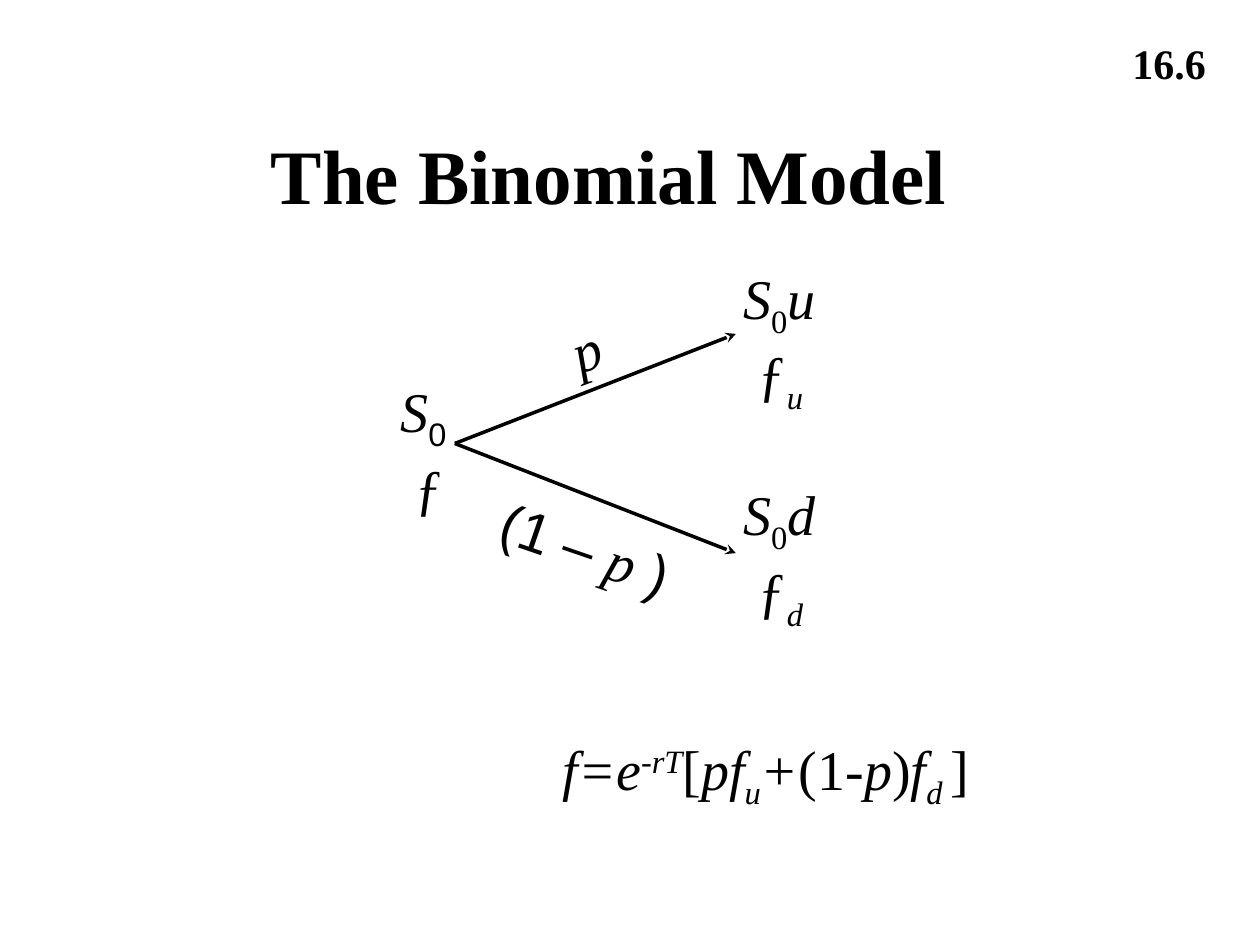
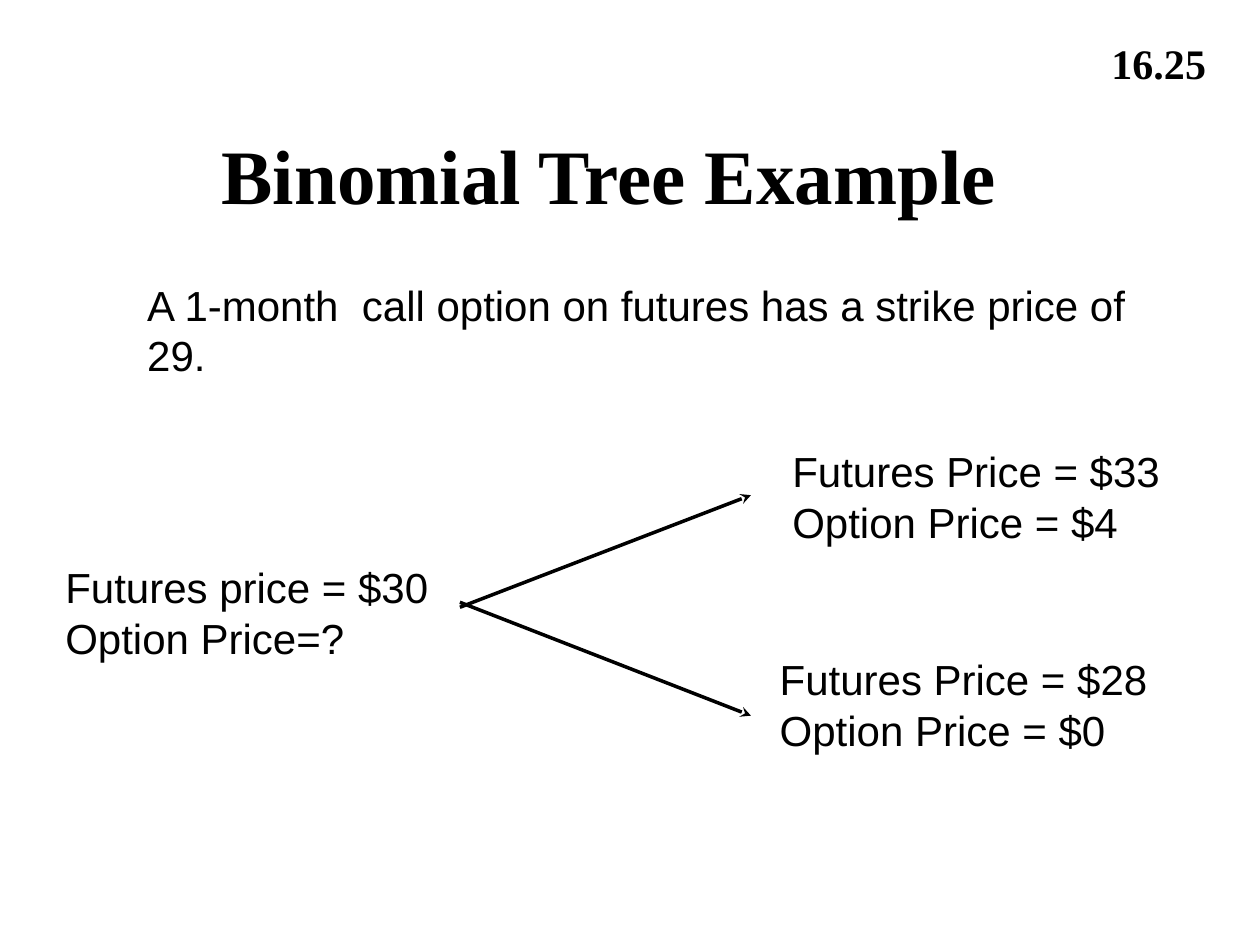
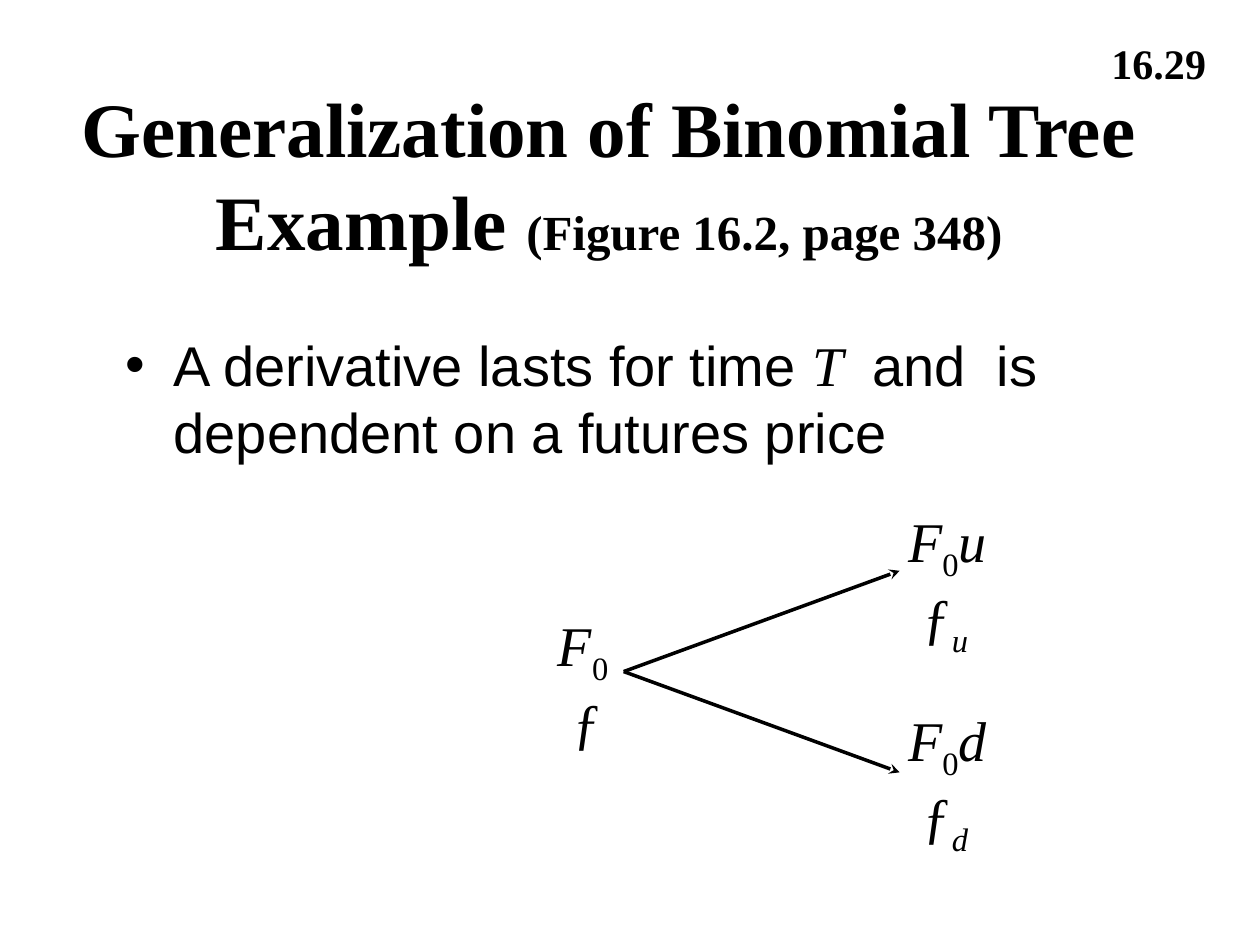
from pptx import Presentation
from pptx.dml.color import RGBColor
from pptx.enum.shapes import MSO_CONNECTOR
from pptx.enum.text import MSO_ANCHOR, MSO_AUTO_SIZE, PP_ALIGN
from pptx.oxml.ns import qn
from pptx.util import Inches, Pt
from lxml.etree import SubElement

INK = RGBColor(0, 0, 0)
PAPER = RGBColor(255, 255, 255)
SERIF = "Times New Roman"
SANS = "Arial"
SUB = -25
SUPER = 30


def span(text, size=32, font=SERIF, bold=False, italic=False, baseline=0):
    return text, size, font, bold, italic, baseline


def math(text, baseline=0):
    return span(text, italic=True, baseline=baseline)


def sans(text, size=32):
    return span(text, size, SANS)


def heading(text, size):
    return span(text, size, bold=True)


def add_span(paragraph, text, size, font, bold, italic, baseline):
    run = paragraph.add_run()
    run.text = text
    run.font.size = Pt(size)
    run.font.name = font
    run.font.bold = bold
    run.font.italic = italic
    run.font.color.rgb = INK
    if baseline:
        run._r.get_or_add_rPr().set("baseline", str(baseline * 1000))


def add_text(slide, box, lines, align=PP_ALIGN.LEFT, wrap=True, grow=True,
             anchor=MSO_ANCHOR.TOP, rotation=0, before=0, margin=0, bullet=None):
    label = slide.shapes.add_textbox(*map(Inches, box))
    label.rotation = rotation
    frame = label.text_frame
    frame.word_wrap = wrap
    frame.auto_size = MSO_AUTO_SIZE.SHAPE_TO_FIT_TEXT if grow else MSO_AUTO_SIZE.NONE
    frame.vertical_anchor = anchor
    for index, spans in enumerate(lines):
        paragraph = frame.add_paragraph() if index else frame.paragraphs[0]
        paragraph.alignment = align
        paragraph.space_before = Pt(before)
        properties = paragraph._p.get_or_add_pPr()
        if margin:
            properties.set("marL", str(Inches(margin)))
        if bullet:
            properties.set("indent", str(-Inches(margin)))
            SubElement(properties, qn("a:buFont")).set("typeface", SANS)
            SubElement(properties, qn("a:buChar")).set("char", bullet)
        for part in spans:
            add_span(paragraph, *part)


def add_arrow(slide, start, end):
    branch = slide.shapes.add_connector(
        MSO_CONNECTOR.STRAIGHT, *map(Inches, (*start, *end)))
    branch.line.color.rgb = INK
    branch.line.width = Pt(2)
    SubElement(branch.line._get_or_add_ln(), qn("a:tailEnd")).set("type", "stealth")
    SubElement(branch._element.spPr, qn("a:effectLst"))


def add_root(slide, box, asset, zero_font):
    add_text(slide, box, [
        [math(asset), span("0", font=zero_font, baseline=SUB)],
        [sans(" "), span("ƒ")],
    ])


def add_outcome(slide, box, asset, move):
    add_text(slide, box, [
        [math(asset), span("0", baseline=SUB), math(move)],
        [sans(" "), span("ƒ"), math(move, SUB)],
    ], wrap=False)


def add_prices(slide, box, futures, option):
    add_text(slide, box, [[sans(futures, 24)], [sans(option, 24)]])


def add_slide(deck, number, title):
    slide = deck.slides.add_slide(deck.slide_layouts[6])
    slide.background.fill.solid()
    slide.background.fill.fore_color.rgb = PAPER
    add_text(slide, (7.5, 0.25, 2.17, 0.5), [[heading(number, 24)]],
             align=PP_ALIGN.RIGHT, grow=False)
    add_text(slide, (0.42, 0.75, 8.83, 1.25), [title],
             align=PP_ALIGN.CENTER, grow=False, anchor=MSO_ANCHOR.MIDDLE)
    return slide


def build_model(deck):
    slide = add_slide(deck, "16.6", [heading("The Binomial Model", 44)])
    for move, tip, top in (("u", 2.65, 2.04), ("d", 4.39, 3.76)):
        add_arrow(slide, (3.61, 3.52), (5.84, tip))
        add_outcome(slide, (5.8, top, 0.78, 1.32), "S", move)
    add_root(slide, (3.08, 2.94, 0.67, 1.24), "S", SANS)
    add_text(slide, (4.44, 2.45, 0.42, 0.63), [[math("p")]],
             wrap=False, rotation=340, before=8)
    add_text(slide, (3.86, 4.05, 1.69, 0.63),
             [[sans("(1 – "), math("p"), sans(" )")]],
             wrap=False, rotation=19, before=8)
    add_text(slide, (0.83, 5.78, 8.5, 0.71), [[
        math("f=e"), math("-rT", SUPER), span("["), math("pf"), math("u", SUB),
        math("+"), span("(1"), math("-p"), span(")"), math("f"),
        math("d ", SUB), span("]"),
    ]], align=PP_ALIGN.CENTER, margin=2)


def build_example(deck):
    slide = add_slide(deck, "16.25", [heading("Binomial Tree Example", 44)])
    add_arrow(slide, (3.65, 4.82), (5.96, 3.93))
    add_arrow(slide, (3.65, 4.78), (5.96, 5.68))
    add_prices(slide, (6.19, 3.49, 3.16, 0.9), "Futures Price = $33", "Option Price = $4")
    add_prices(slide, (6.09, 5.14, 3.63, 0.9), "Futures Price = $28", "Option Price = $0")
    add_prices(slide, (0.42, 4.41, 3.45, 0.9), "Futures price = $30", "Option Price=?")
    add_text(slide, (0.69, 2.17, 8.63, 4.5),
             [[sans("A 1-month  call option on futures has a strike price of 29.", 24)]],
             grow=False, before=6, margin=0.38)


def build_generalization(deck):
    slide = add_slide(deck, "16.29", [
        heading("Generalization of Binomial Tree Example ", 44),
        heading("(Figure 16.2, page 348)", 28),
    ])
    add_text(slide, (0.9, 2.57, 8.21, 4.12), [[
        sans("A derivative lasts for time "), math("T "),
        sans(" and  is dependent on a futures price"),
    ]], grow=False, before=8, margin=0.38, bullet="•")
    for move, tip, top in (("u", 4.53, 3.97), ("d", 6.13, 5.55)):
        add_arrow(slide, (4.95, 5.33), (7.14, tip))
        add_outcome(slide, (7.11, top, 0.82, 1.32), "F", move)
    add_root(slide, (4.33, 4.8, 0.8, 1.24), "F", SERIF)


def main():
    deck = Presentation()
    deck.slide_width = Inches(10)
    deck.slide_height = Inches(7.5)
    build_model(deck)
    build_example(deck)
    build_generalization(deck)
    deck.save("out.pptx")


if __name__ == "__main__":
    main()
